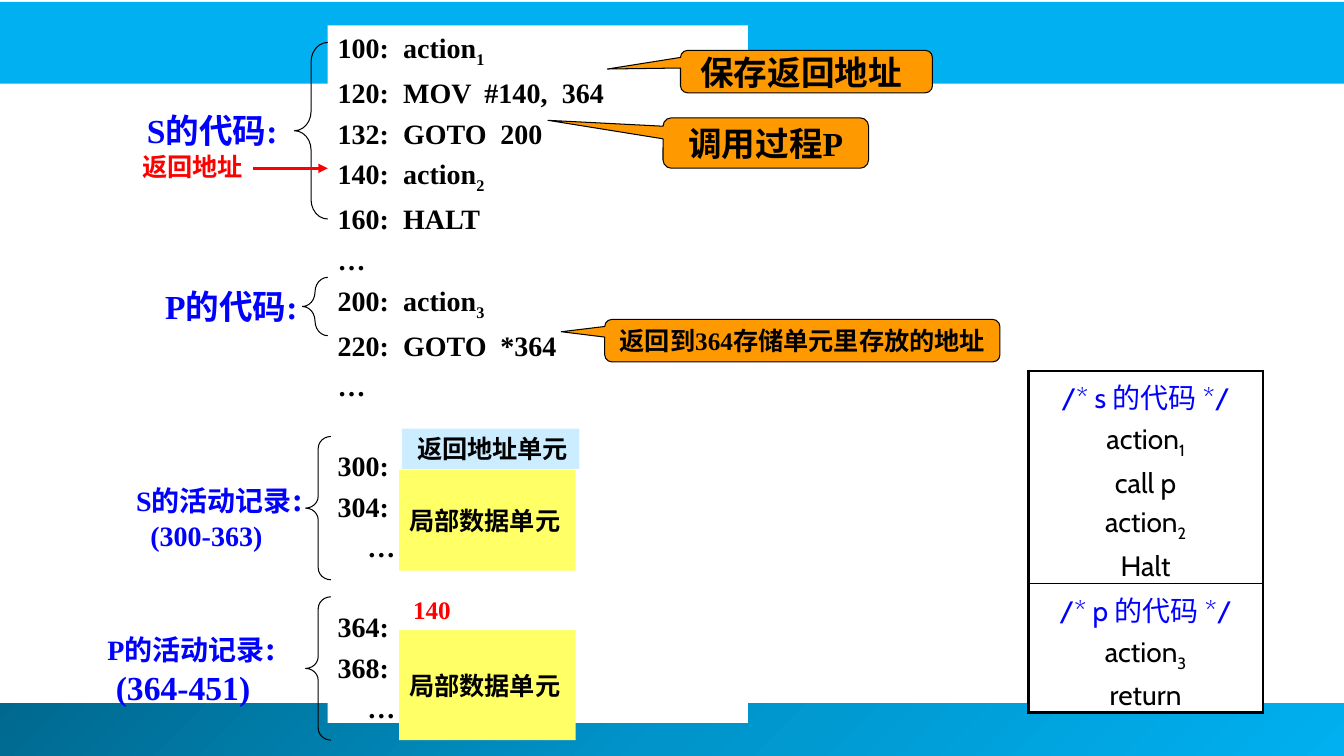
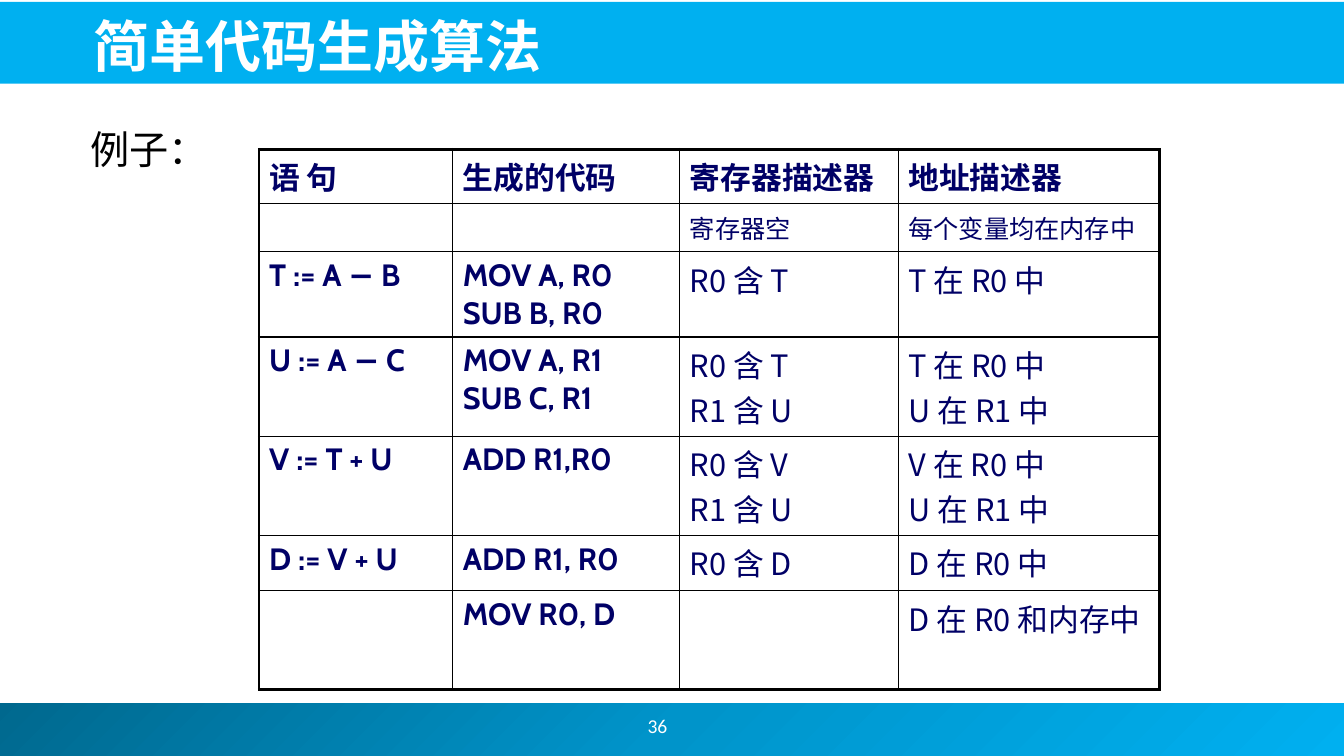
"""Build two slides on code generation: static storage layout and register use."""
import copy

import pptx
import pptx.dml.color
import pptx.enum.shapes
import pptx.enum.text
import pptx.oxml
import pptx.oxml.ns
import pptx.util
from lxml import etree

Cm = pptx.util.Cm
Pt = pptx.util.Pt
RGB = pptx.dml.color.RGBColor
KIND = pptx.enum.shapes.MSO_SHAPE
ALIGN = pptx.enum.text.PP_ALIGN
MIDDLE = pptx.enum.text.MSO_ANCHOR.MIDDLE
qn = pptx.oxml.ns.qn

BLACK = RGB(0x00, 0x00, 0x00)
WHITE = RGB(0xFF, 0xFF, 0xFF)
BLUE = RGB(0x00, 0x00, 0xFF)
NAVY = RGB(0x00, 0x00, 0x66)
RED = RGB(0xFF, 0x00, 0x00)
SKY = RGB(0x00, 0xB0, 0xF0)
MID = RGB(0x00, 0x94, 0xCA)
DEEP = RGB(0x00, 0x68, 0x8E)
ORANGE = RGB(0xFF, 0x99, 0x00)
PALE = RGB(0xCC, 0xEC, 0xFF)
YELLOW = RGB(0xFF, 0xFF, 0x66)

SERIF = "Times New Roman"
SANS = "Cabin"
HAN = "Noto Sans CJK SC"
HEAD = "Noto Sans CJK JP"


def put(frame, text, size=20, color=BLACK, font=SERIF, bold=True,
        align=ALIGN.LEFT, gap=0, left=0, tabs=(), grow=None):
    """Add a paragraph; a part after "_" is a subscript, or of size grow."""
    para = frame.add_paragraph() if frame.text else frame.paragraphs[0]
    para.alignment = align
    props = para._p.get_or_add_pPr()
    if left:
        props.set("marL", str(Cm(left)))
    if tabs:
        stops = etree.SubElement(props, qn("a:tabLst"))
        for stop in tabs:
            etree.SubElement(stops, qn("a:tab"), pos=str(Cm(stop)), algn="l")
    if gap:
        para.space_before = Pt(gap)
    for i, part in enumerate(text.split("_")):
        run = para.add_run()
        run.text = part
        run.font.size = Pt(grow if grow and i else size)
        run.font.bold = bold
        run.font.name = font
        run.font.color.rgb = color
        mark = run._r.get_or_add_rPr()
        east = font if font == HEAD else HAN
        etree.SubElement(mark, qn("a:ea"), typeface=east)
        if i and not grow:
            mark.set("baseline", "-25000")


def lay(slide, place, kind=None, fill=None, line=None):
    """Add a shape, or a text box when kind is None, placed in centimetres."""
    spot = [Cm(n) for n in place]
    if kind is None:
        shape = slide.shapes.add_textbox(*spot)
    else:
        shape = slide.shapes.add_shape(kind, *spot)
        shape.shadow.inherit = False
        if fill is None:
            shape.fill.background()
        else:
            shape.fill.solid()
            shape.fill.fore_color.rgb = fill
        if line is None:
            shape.line.fill.background()
        else:
            shape.line.color.rgb = line
            shape.line.width = Pt(0.75)
    shape.text_frame.word_wrap = True
    shape.text_frame.vertical_anchor = MIDDLE
    return shape


deck = pptx.Presentation()
deck.slide_width = Cm(33.87)
deck.slide_height = Cm(19.05)
blank = deck.slide_layouts[6]
first = deck.slides.add_slide(blank)
second = deck.slides.add_slide(blank)

foot = lay(first, (-0.13, 17.72, 34, 1.33), KIND.RECTANGLE, SKY)
foot.fill.gradient()
foot.fill.gradient_angle = 315
stops = foot.element.find(".//" + qn("a:gsLst"))
stops.insert(1, copy.deepcopy(stops[0]))
stops[1].set("pos", "50000")
for stop, color in zip(foot.fill.gradient_stops, (DEEP, MID, SKY)):
    stop.color.rgb = color
top = lay(first, (-0.05, 0.05, 33.93, 2.06), KIND.RECTANGLE, SKY)
for band in (foot, top):
    blank.shapes.element.append(band.element)

source = [
    ["/* s 的代码 */\naction_1\ncall p\naction_2\nHalt"],
    ["/* p 的代码 */\naction_3\nreturn"],
]
steps = [
    ["语 句", "生成的代码", "寄存器描述器", "地址描述器"],
    ["", "", "寄存器空", "每个变量均在内存中"],
    ["T := A − B", "MOV A, R0\nSUB B, R0", "R0 含 T", "T 在 R0 中"],
    ["U := A − C", "MOV A, R1\nSUB C, R1", "R0 含 T\nR1 含 U",
     "T 在 R0 中\nU 在 R1 中"],
    ["V := T + U", "ADD R1,R0", "R0 含 V\nR1 含 U",
     "V 在 R0 中\nU 在 R1 中"],
    ["D := V + U", "ADD R1, R0", "R0 含 D", "D 在 R0 中"],
    ["", "MOV R0, D", "", "D 在 R0 和内存中"],
]
grids = []
for slide, rows, x, y, widths, heights in (
    (first, source, 25.91, 9.35, (5.92,), (5.29, 3.18)),
    (second, steps, 6.53, 3.76, (4.88, 5.72, 5.51, 6.58),
     (1.36, 1.21, 2.14, 2.49, 2.49, 1.39, 2.49)),
):
    grid = slide.shapes.add_table(
        len(rows), len(widths), Cm(x), Cm(y),
        Cm(sum(widths)), Cm(sum(heights))).table
    grid.first_row = grid.horz_banding = False
    for col, width in zip(grid.columns, widths):
        col.width = Cm(width)
    for row, height in zip(grid.rows, heights):
        row.height = Cm(height)
    for r in range(len(rows)):
        for c in range(len(widths)):
            cell = grid.cell(r, c)
            props = cell._tc.get_or_add_tcPr()
            for side, outer in (("L", c == 0), ("R", c == len(widths) - 1),
                                ("T", r == 0), ("B", r == len(rows) - 1)):
                edge = etree.SubElement(props, qn("a:ln" + side),
                                        w=str(Pt(2.25 if outer else 1)))
                paint = etree.SubElement(edge, qn("a:solidFill"))
                etree.SubElement(paint, qn("a:srgbClr"), val=str(BLACK))
            cell.fill.solid()
            cell.fill.fore_color.rgb = WHITE
    grids.append(grid)

for r, (text,) in enumerate(source):
    cell = grids[0].cell(r, 0)
    cell.margin_bottom = 0
    for i, line in enumerate(text.split("\n")):
        put(cell.text_frame, line, font=SANS, bold=False, align=ALIGN.CENTER,
            color=BLACK if i else BLUE, gap=4 if i else 0)

for r, row in enumerate(steps):
    for c, text in enumerate(row):
        code = r > 1 and c < 2
        for line in text.split("\n") if text else ():
            put(grids[1].cell(r, c).text_frame, line,
                size=18 if r == 1 else 22, color=NAVY,
                font=SANS if code else HAN, bold=code or r == 0,
                align=ALIGN.JUSTIFY if r > 1 and c == 3 else ALIGN.LEFT)

panel = lay(first, (8.26, 0.64, 10.59, 17.58), KIND.RECTANGLE, WHITE)
panel.text_frame.vertical_anchor = pptx.enum.text.MSO_ANCHOR.TOP
blocks = (
    ("100:\taction_1", "120:\tMOV\t#140,\t364", "132:\tGOTO\t200",
     "140:\taction_2", "160:\tHALT", "…", "200:\taction_3",
     "220:\tGOTO\t*364", "…"),
    ("300:", "304:", "\t…"),
    ("364:", "368:", "\t…"),
)
for b, block in enumerate(blocks):
    for i, line in enumerate(block):
        gap = 5 if i else 33 if b else 0
        put(panel.text_frame, line, gap=gap, tabs=(0.75, 1.65, 3.7, 4.1, 5.65))

for text, size, place, tip, align in (
    ("保存返回地址", 24, (17.15, 1.27, 6.35, 1.07), (-0.79, -0.06), ALIGN.LEFT),
    ("调用过程P", 24, (16.71, 2.97, 5.18, 1.27), (-1.06, -0.45), ALIGN.CENTER),
    ("返回到364存储单元里存放的地址", 18, (15.24, 8.05, 9.96, 1.07),
     (-0.61, -0.21), ALIGN.CENTER),
):
    note = lay(first, place, KIND.ROUNDED_RECTANGULAR_CALLOUT, ORANGE, BLACK)
    note.adjustments[0], note.adjustments[1] = tip
    note.text_frame.word_wrap = False
    put(note.text_frame, text, size=size, align=align,
        left=0.2 if align == ALIGN.LEFT else 0)

for place, bend in (
    ((7.42, 1.07, 0.84, 4.45), 0.58),
    ((7.62, 6.99, 0.64, 1.47), 0.58),
    ((7.7, 11, 0.64, 3.61), 0.47),
    ((7.7, 15.04, 0.64, 3.61), 0.47),
):
    brace = lay(first, place, KIND.LEFT_BRACE, line=BLACK)
    brace.adjustments[0] = bend

for place, title, size, span, low, left in (
    ((3.45, 2.62, 4.3, 1.3), "S的代码_:", 24, "", 0, 0),
    ((3.91, 7.09, 4.3, 1.27), "P的代码_:", 24, "", 0, 0),
    ((3.18, 11.91, 4.93, 2.13), "S的活动记录_:", 20, "(300-363)", 20, 0.36),
    ((2.46, 15.65, 5.51, 2.31), "P的活动记录_:", 20, "(364-451)", 24, 0.21),
):
    label = lay(first, place).text_frame
    put(label, title, size=size, color=BLUE, grow=24)
    if span:
        put(label, span, size=low, color=BLUE, left=left)

for place, fill, text, color, font, left in (
    ((10.13, 10.8, 4.47, 1.02), PALE, "返回地址单元", BLACK, SERIF, 0.13),
    ((10.06, 11.84, 4.45, 2.54), YELLOW, "局部数据单元", BLACK, HEAD, 0),
    ((10.06, 15.88, 4.45, 2.77), YELLOW, "局部数据单元", BLACK, HEAD, 0),
    ((10.16, 14.86, 4.45, 1.02), WHITE, "140", RED, SERIF, 0),
):
    unit = lay(first, place, KIND.RECTANGLE, fill)
    put(unit.text_frame, text, size=18, color=color, font=font, left=left)

arrow = first.shapes.add_connector(
    pptx.enum.shapes.MSO_CONNECTOR.STRAIGHT,
    Cm(6.38), Cm(4.24), Cm(8.26), Cm(4.24))
arrow.line.color.rgb = RED
arrow.line.width = Pt(2.25)
etree.SubElement(arrow.line._get_or_add_ln(), qn("a:tailEnd"), type="triangle")
etree.SubElement(arrow.element.spPr, qn("a:effectLst"))
back = lay(first, (2.9, 3.68, 3.91, 1.02))
put(back.text_frame, "返回地址", size=18, color=RED, font=HEAD,
    align=ALIGN.CENTER)

title = lay(second, (2.11, 0.13, 30.63, 2.01))
put(title.text_frame, "简单代码生成算法", size=40, color=WHITE, font=HEAD)
lead = lay(second, (2.03, 2.9, 4, 1.7))
put(lead.text_frame, "例子：", size=28, font=HEAD, bold=False)
page = lay(second, (12.9, 17.65, 7.34, 1.27))
put(page.text_frame, "36", size=14, color=WHITE, font="Calibri", bold=False,
    align=ALIGN.CENTER)

deck.save("out.pptx")
